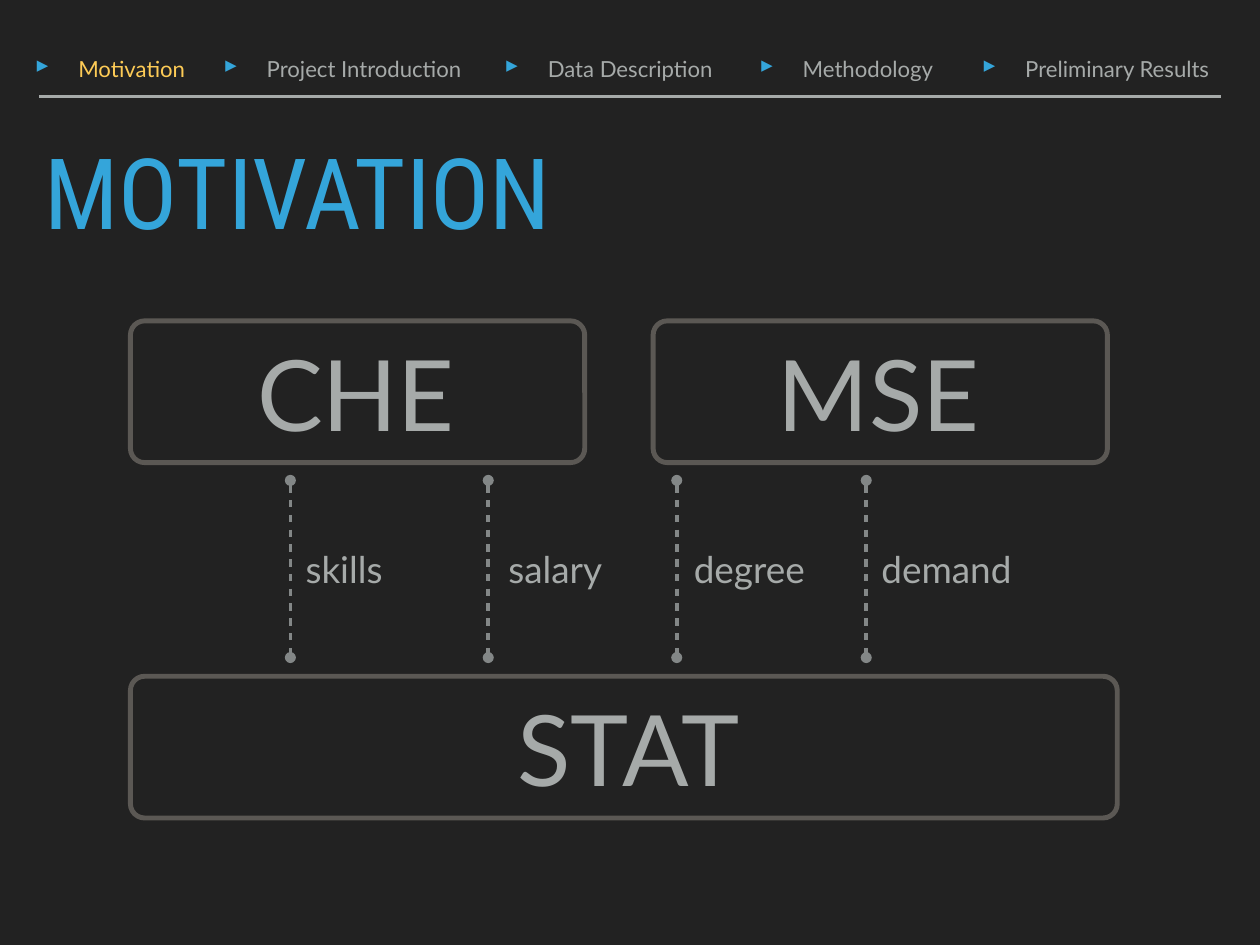
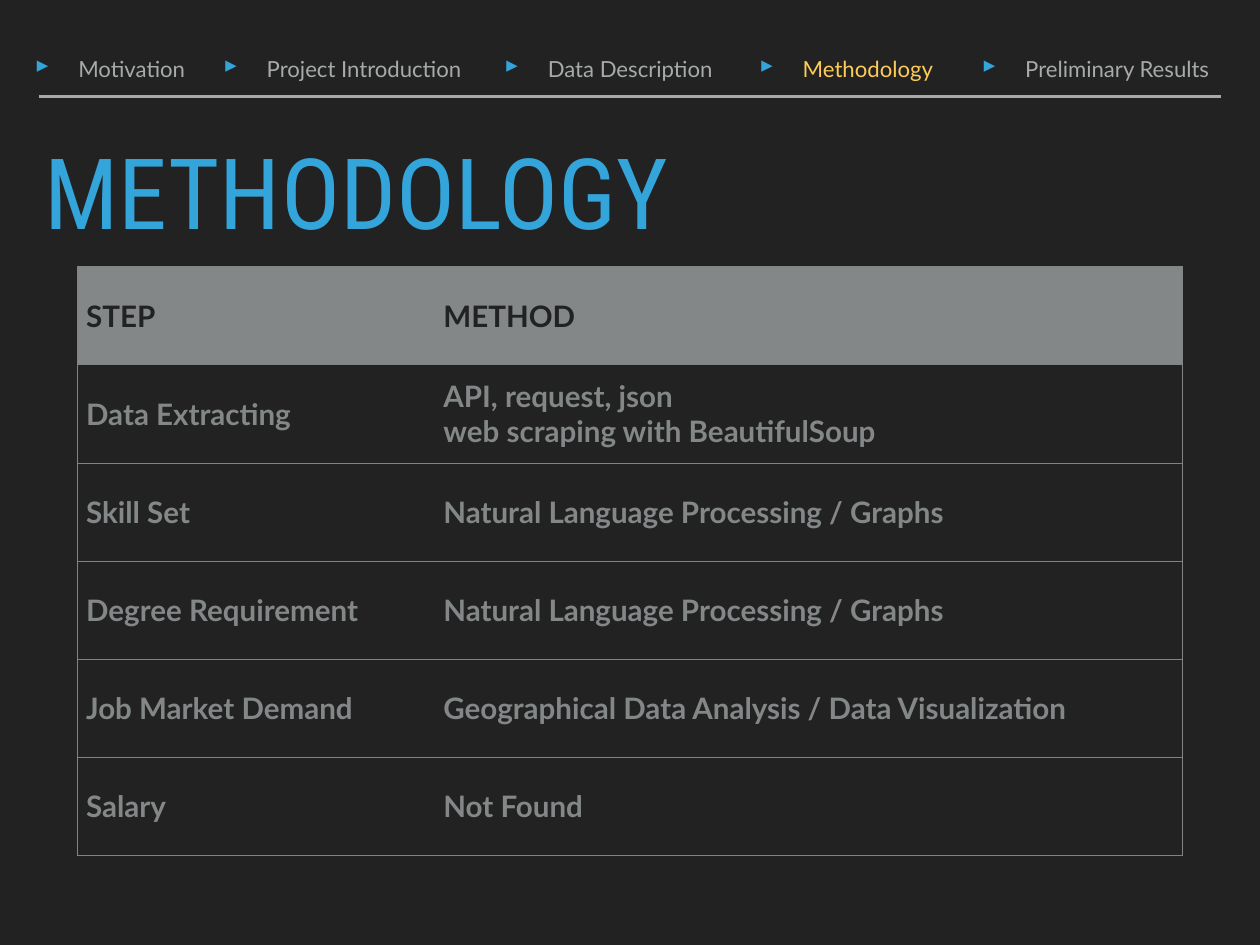
from dataclasses import dataclass

from lxml import etree
from pptx import Presentation, util as u
from pptx.dml.color import RGBColor
from pptx.enum import shapes, text as t
from pptx.oxml import ns


@dataclass(frozen=True)
class Theme:
    """Colours, fonts, type sizes and line widths of the deck."""
    ground: str = "222222"
    accent: str = "34A5DA"
    active: str = "FDCB56"
    body: str = "A6AAA9"
    frame: str = "5B5854"
    muted: str = "838787"
    border: str = "808484"
    title_font: str = "Roboto Condensed"
    font: str = "Lato"
    huge: int = 80
    label: int = 30
    cell: int = 24
    nav: int = 18


@dataclass(frozen=True)
class Box:
    """A rectangle in columns and rows of the page grid."""
    left: float
    top: float
    width: float
    height: float

    def area(self, left, top, width, height):
        """Return a box placed relative to this one."""
        return Box(self.left + left, self.top + top, width, height)

    def emu(self):
        """Return left, top, width and height as slide lengths."""
        return [grid(n) for n in (self.left, self.top, self.width, self.height)]


THEME = Theme()
PAGE = Box(0, 0, 128, 96)
NAV = PAGE.area(3, 4.95, 121.3, 4.14)
TITLE = PAGE.area(4, 15.1, 120, 12)
DIAGRAM = PAGE.area(13.25, 32.6, 100.25, 50.5)
TABLE = PAGE.area(7.85, 27.1, 112.25, 59.8)
SECTIONS = [("Motivation", 0, 16.75), ("Project Introduction", 19.15, 26),
            ("Data Description", 47.7, 23), ("Methodology", 73.6, 19.6),
            ("Preliminary Results", 96.2, 25.1)]
CARDS = [("CHE", 0, 0, 46.15, 21.5, 0), ("MSE", 53.1, 0, 46.15, 21.9, 0),
         ("STAT", 0, 36.1, 100.25, 23.9, 0.6)]
LINKS = [("skills", 16.25, 1, 9.4), ("salary", 36.35, 1.5, 11.1),
         ("degree", 55.5, 1.2, 13.6), ("demand", 74.75, 1, 15.6)]
STEPS = [("STEP", "METHOD"),
         ("Data Extracting", "API, request, json\nweb scraping with BeautifulSoup"),
         ("Skill Set", "Natural Language Processing / Graphs"),
         ("Degree Requirement", "Natural Language Processing / Graphs"),
         ("Job Market Demand", "Geographical Data Analysis / Data Visualization"),
         ("Salary", "Not Found")]


def grid(count):
    """Turn a count of grid cells into a slide length."""
    return u.Pt(8 * count)


def rgb(value):
    """Turn a hex string into a colour."""
    return RGBColor.from_string(value)


def node(parent, tag, **attributes):
    """Append a drawing element to a parent."""
    return etree.SubElement(parent, ns.qn("a:" + tag), attributes)


def write(frame, words, size, color, font=THEME.font, bold=False, before=0,
          spacing=None, bullet=None):
    """Fill a text frame, one paragraph for each line of words."""
    for index, line in enumerate(words.split("\n")):
        para = frame.paragraphs[0] if index == 0 else frame.add_paragraph()
        para.alignment = t.PP_ALIGN.LEFT
        para.space_before = u.Pt(before)
        if spacing:
            para.line_spacing = spacing
        if bullet:
            add_bullet(para, bullet)
        span = para.add_run()
        span.text = line
        span.font.size = u.Pt(size)
        span.font.name = font
        span.font.bold = bold
        span.font.color.rgb = rgb(color)


def add_bullet(para, symbol):
    """Give a paragraph a hanging accent bullet."""
    props = para._p.get_or_add_pPr()
    hang = u.Inches(0.49)
    props.set("marL", str(hang))
    props.set("indent", str(-hang))
    node(node(props, "buClr"), "srgbClr", val=THEME.accent)
    node(props, "buSzPct", val="105000")
    node(props, "buChar", char=symbol)


def add_text(page, box, words, wrap=False, **style):
    """Add a text box; unwrapped text sits in the middle of its box."""
    frame = page.shapes.add_textbox(*box.emu()).text_frame
    frame.word_wrap = wrap
    frame.auto_size = t.MSO_AUTO_SIZE.NONE if wrap else t.MSO_AUTO_SIZE.SHAPE_TO_FIT_TEXT
    frame.vertical_anchor = t.MSO_ANCHOR.TOP if wrap else t.MSO_ANCHOR.MIDDLE
    frame.margin_left = frame.margin_right = u.Inches(0.06)
    frame.margin_top = frame.margin_bottom = u.Inches(0.06)
    write(frame, words, **style)


def add_line(page, box, color, width, dotted=False):
    """Add a straight line, with dashes and round ends if dotted."""
    left, top, across, down = box.emu()
    line = page.shapes.add_connector(shapes.MSO_CONNECTOR.STRAIGHT, left, top,
                                     left + across, top + down)
    line.line.color.rgb = rgb(color)
    line.line.width = u.Pt(width)
    if dotted:
        stroke = line.line._get_or_add_ln()
        node(node(stroke, "custDash"), "ds", d="200000", sp="200000")
        node(stroke, "headEnd", type="oval")
        node(stroke, "tailEnd", type="oval")
    node(line._element.spPr, "effectLst")


def add_header(page, active):
    """Place the navigation, its rule and the title of the active section."""
    for name, left, width in SECTIONS:
        add_text(page, NAV.area(left, 0, width, NAV.height), name, size=THEME.nav,
                 color=THEME.active if name == active else THEME.body,
                 before=28, bullet="▸")
    add_line(page, PAGE.area(4, 9.8, 120, 0), THEME.body, 2)
    add_text(page, TITLE, active.upper(), wrap=True, size=THEME.huge,
             color=THEME.accent, font=THEME.title_font, before=28, spacing=0.8)


def add_card(page, box, words, text_width, shift):
    """Place a rounded outline with large text across its middle."""
    card = page.shapes.add_shape(shapes.MSO_SHAPE.ROUNDED_RECTANGLE, *box.emu())
    card.adjustments[0] = 0.1
    card.shadow.inherit = False
    card.fill.background()
    card.line.color.rgb = rgb(THEME.frame)
    card.line.width = u.Pt(4)
    inner = box.area((box.width - text_width) / 2 + shift, -0.1, text_width, 14.6)
    add_text(page, inner, words, size=THEME.huge, color=THEME.body, before=24)


def add_diagram(page, box):
    """Place the three cards and the labelled links between them."""
    for words, left, top, width, text_width, shift in CARDS:
        add_card(page, box.area(left, top, width, 14.4), words, text_width, shift)
    for words, left, gap, width in LINKS:
        add_line(page, box.area(left, 16.2, 0, 18), THEME.muted, 3, dotted=True)
        add_text(page, box.area(left + gap, 22.1, width, 6.1), words,
                 size=THEME.label, color=THEME.body, before=24)


def add_borders(cell, sides):
    """Draw the listed sides of a cell and hide the others."""
    props = cell._tc.get_or_add_tcPr()
    for side in "LRTB":
        line = node(props, "ln" + side, w=str(u.Pt(0.75)))
        if side in sides:
            node(node(line, "solidFill"), "srgbClr", val=THEME.border)
        else:
            node(line, "noFill")


def add_steps(page, box):
    """Place the table of steps and methods."""
    table = page.shapes.add_table(len(STEPS), 2, *box.emu()).table
    table.first_row = table.horz_banding = False
    for column, width in zip(table.columns, (36.3, box.width - 36.3)):
        column.width = grid(width)
    for row, values in enumerate(STEPS):
        table.rows[row].height = grid(box.height / len(STEPS))
        header = row == 0
        for column, words in enumerate(values):
            cell = table.cell(row, column)
            cell.vertical_anchor = t.MSO_ANCHOR.MIDDLE
            add_borders(cell, "TB" + "LR"[column])
            if header:
                cell.fill.solid()
                cell.fill.fore_color.rgb = rgb(THEME.muted)
            else:
                cell.fill.background()
            spaced = column == 0 or words in ("METHOD", "Not Found")
            write(cell.text_frame, words, size=THEME.cell, bold=True,
                  color=THEME.ground if header else THEME.muted,
                  before=24 if spaced else 0)


def main():
    """Build and save the deck."""
    deck = Presentation()
    deck.slide_width, deck.slide_height = grid(PAGE.width), grid(PAGE.height)
    ground = deck.slide_master.background.fill
    ground.solid()
    ground.fore_color.rgb = rgb(THEME.ground)
    for title, region, box in (("Motivation", add_diagram, DIAGRAM),
                               ("Methodology", add_steps, TABLE)):
        page = deck.slides.add_slide(deck.slide_layouts[6])
        add_header(page, title)
        region(page, box)
    deck.save("out.pptx")


if __name__ == "__main__":
    main()
